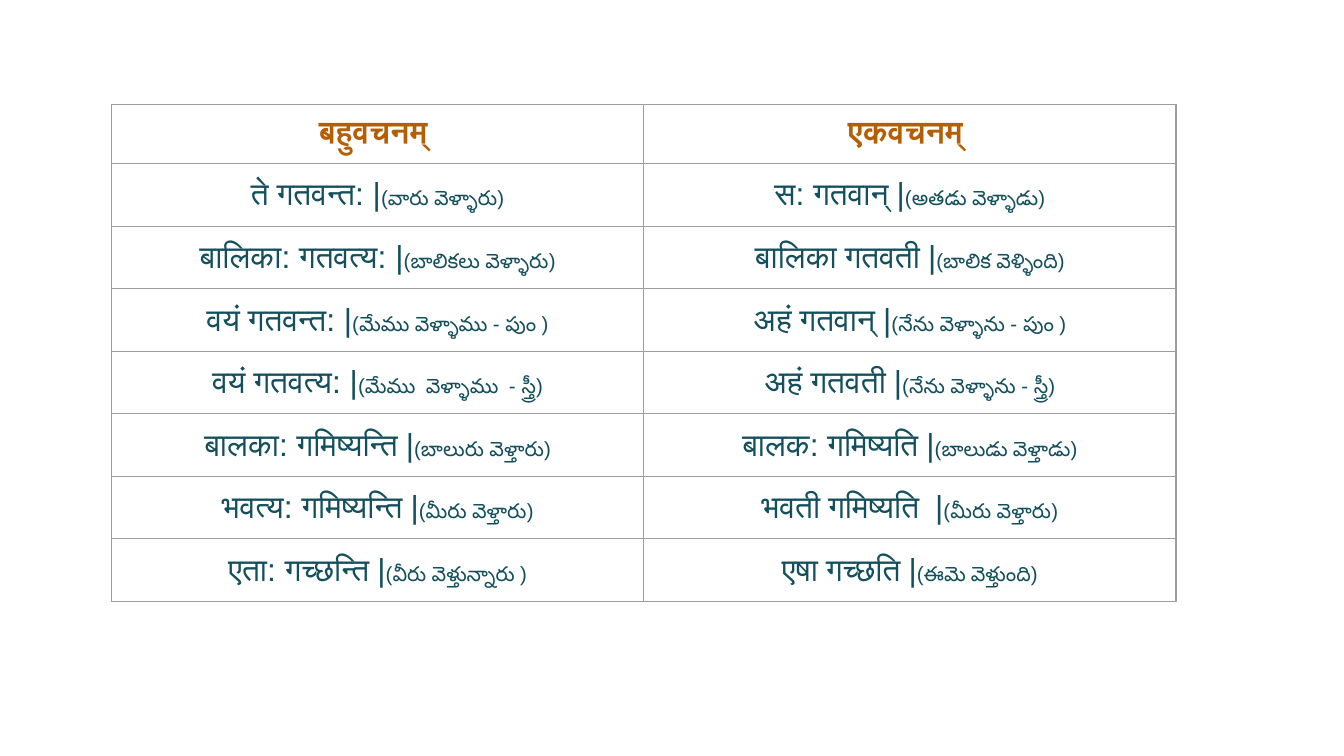
import pptx
import pptx.dml.color
import pptx.enum.text
import pptx.oxml
import pptx.oxml.ns
import pptx.util
from pptx.dml.color import RGBColor
from pptx.util import Inches

ORANGE = RGBColor(0xB4, 0x5F, 0x06)
TEAL = RGBColor(0x13, 0x4F, 0x5C)
GREY = RGBColor(0x9E, 0x9E, 0x9E)
FONT = "Arial"
LARGE, SMALL = 17, 11

HEADS = ["बहुवचनम् ", "एकवचनम् "]
# Each row: plural and singular, each a Sanskrit phrase with its Telugu gloss.
ROWS = [
    [("ते गतवन्त: |", "(వారు వెళ్ళారు)"), ("स: गतवान् |", "(అతడు వెళ్ళాడు)")],
    [("बालिका: गतवत्य: |", "(బాలికలు వెళ్ళారు)"), ("बालिका गतवती |", "(బాలిక వెళ్ళింది)")],
    [("वयं गतवन्त: |", "(మేము వెళ్ళాము - పుం )"), ("अहं गतवान् |", "(నేను వెళ్ళాను - పుం )")],
    [("वयं गतवत्य: |", "(మేము  వెళ్ళాము  - స్త్రీ)"), ("अहं गतवती |", "(నేను వెళ్ళాను - స్త్రీ)")],
    [("बालका: गमिष्यन्ति |", "(బాలురు వెళ్తారు)"), ("बालक: गमिष्यति |", "(బాలుడు వెళ్తాడు)")],
    [("भवत्य: गमिष्यन्ति |", "(మీరు వెళ్తారు)"), ("भवती गमिष्यति  |", "(మీరు వెళ్తారు)")],
    [("एता: गच्छन्ति |", "(వీరు వెళ్తున్నారు )"), ("एषा गच्छति |", "(ఈమె వెళ్తుంది)")],
]


def add_run(para, text, size, color, bold=False):
    run = para.add_run()
    run.text = text
    font = run.font
    font.size = pptx.util.Pt(size)
    font.bold = bold
    font.color.rgb = color
    font.name = FONT


def set_edges(cell):
    """Draw a thin grey line on all four sides of the cell."""
    props = cell._tc.get_or_add_tcPr()
    width = pptx.util.Pt(0.75)
    for spot, side in enumerate("LRTB"):
        line = pptx.oxml.parse_xml(
            f'<a:ln{side} {pptx.oxml.ns.nsdecls("a")} w="{width}">'
            f'<a:solidFill><a:srgbClr val="{GREY}"/></a:solidFill></a:ln{side}>')
        props.insert(spot, line)


def style_cell(cell):
    """Set up an empty cell and return its centred paragraph."""
    cell.fill.background()
    set_edges(cell)
    cell.vertical_anchor = pptx.enum.text.MSO_ANCHOR.MIDDLE
    cell.margin_left = cell.margin_right = Inches(0.1)
    cell.margin_top = cell.margin_bottom = Inches(0.1)
    para = cell.text_frame.paragraphs[0]
    para.alignment = pptx.enum.text.PP_ALIGN.CENTER
    return para


def add_grid(slide):
    count = len(ROWS) + 1
    width, height = Inches(3.96), Inches(0.42)
    table = slide.shapes.add_table(
        count, len(HEADS), Inches(0.83), Inches(0.78),
        width * len(HEADS), height * count).table
    table.first_row = False
    table.horz_banding = False
    for col in table.columns:
        col.width = width
    for row in table.rows:
        row.height = height
    for c, head in enumerate(HEADS):
        add_run(style_cell(table.cell(0, c)), head, LARGE, ORANGE, True)
    for r, pairs in enumerate(ROWS, 1):
        for c, (phrase, gloss) in enumerate(pairs):
            para = style_cell(table.cell(r, c))
            add_run(para, phrase, LARGE, TEAL)
            add_run(para, gloss, SMALL, TEAL)


def main():
    deck = pptx.Presentation()
    deck.slide_width = Inches(10)
    deck.slide_height = deck.slide_width * 9 // 16
    slide = deck.slides.add_slide(deck.slide_layouts[6])
    add_grid(slide)
    deck.save("out.pptx")


if __name__ == "__main__":
    main()
